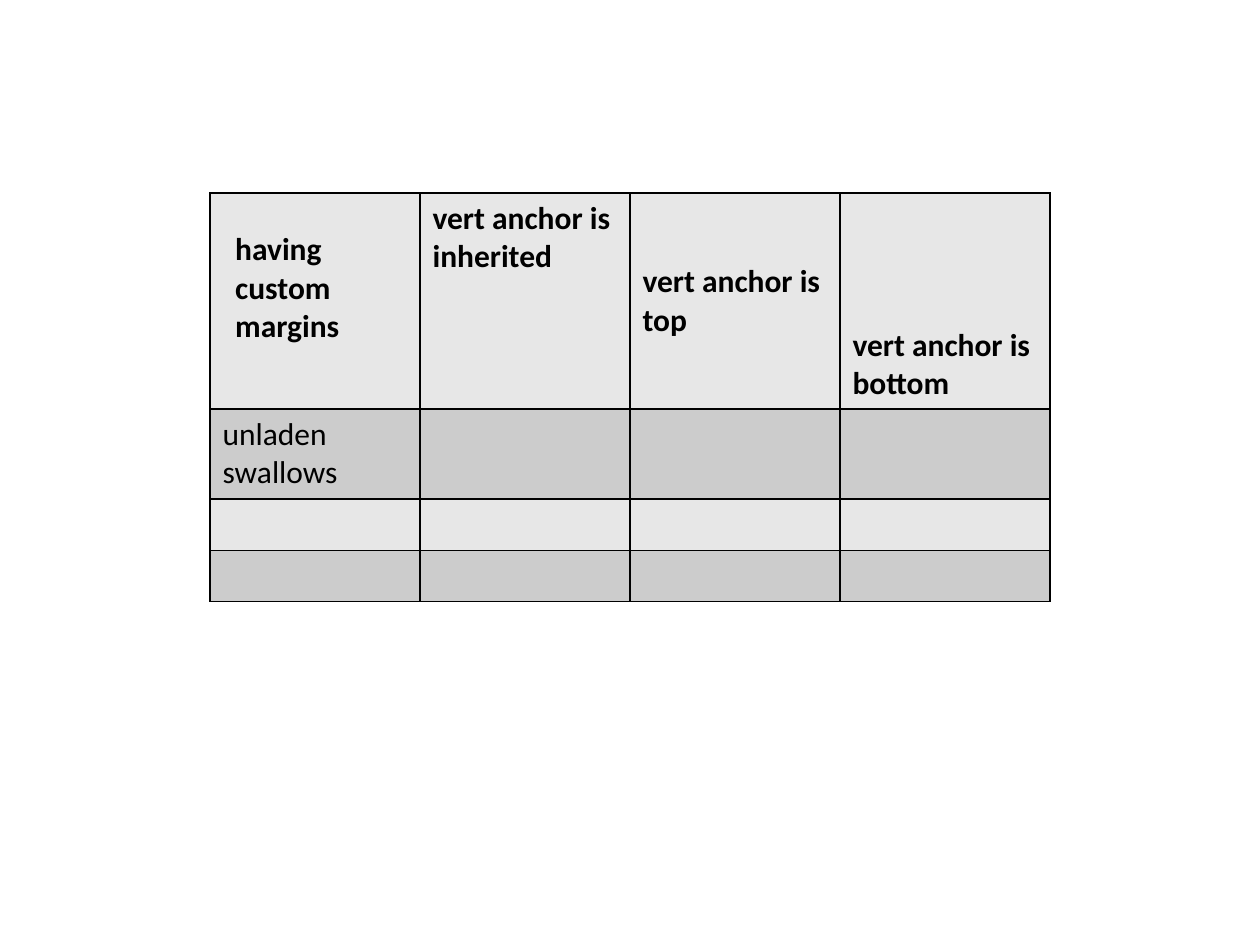
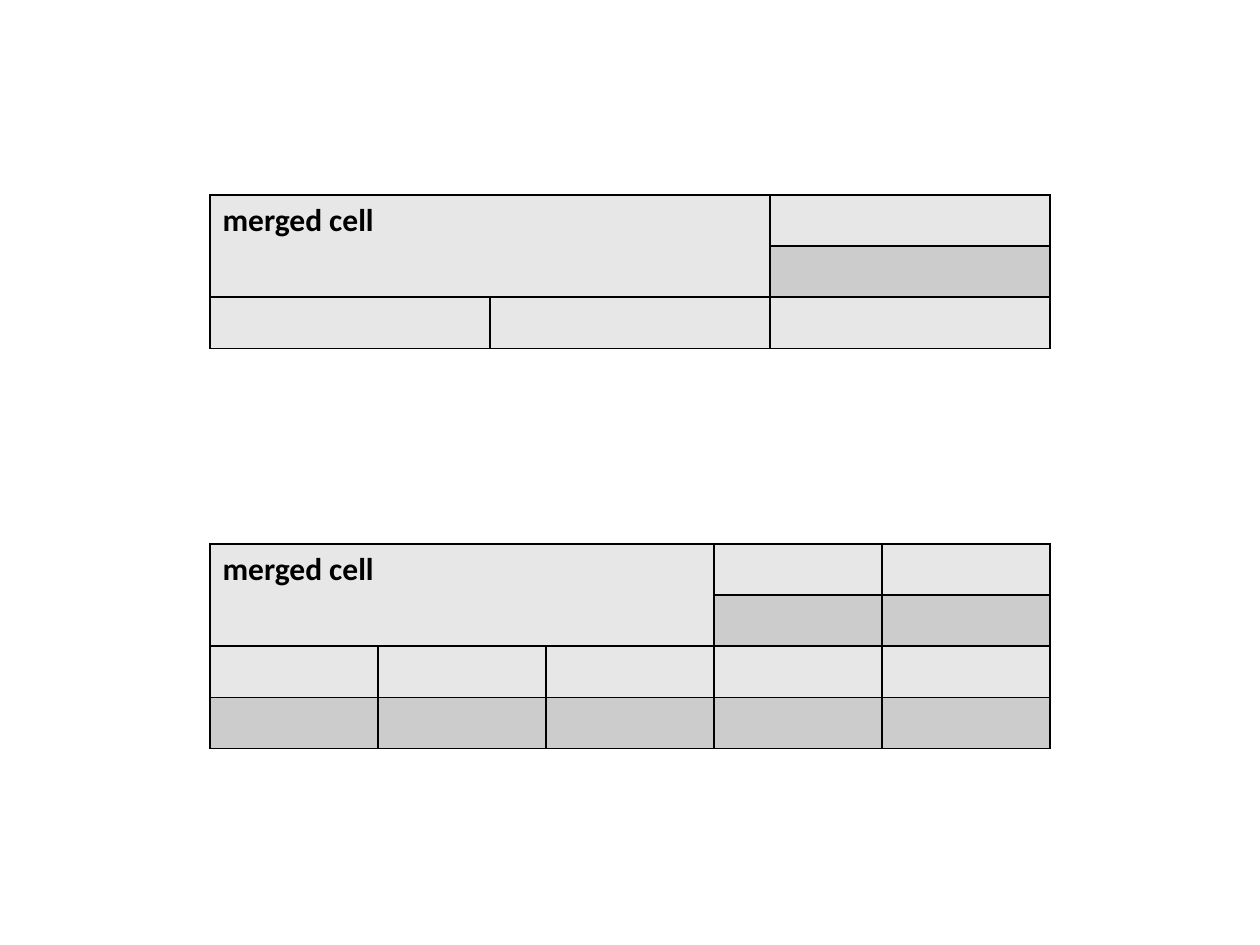
from lxml import etree
from pptx import Presentation
from pptx import util as u
from pptx.dml import color
from pptx.enum import text
from pptx.oxml import ns

PX = 914400 / 126
COLORS = {"light": "E7E7E7", "dark": "CCCCCC", "ink": "000000"}
FONT = "Calibri"
TABLE_LEFT, TABLE_WIDTH, ROW_HEIGHT = 210, 840, 51


def px(length):
    return u.Emu(round(length * PX))


def rgb(name):
    return color.RGBColor.from_string(COLORS[name])


def add_borders(cell):
    properties = cell._tc.get_or_add_tcPr()
    for position, side in enumerate(("lnL", "lnR", "lnT", "lnB")):
        line = etree.Element(ns.qn(f"a:{side}"), w=str(u.Pt(1)))
        fill = etree.SubElement(line, ns.qn("a:solidFill"))
        etree.SubElement(fill, ns.qn("a:srgbClr"), val=COLORS["ink"])
        properties.insert(position, line)


def add_grid(slide, top, columns, row_heights):
    frame = slide.shapes.add_table(
        len(row_heights), columns, px(TABLE_LEFT), px(top),
        px(TABLE_WIDTH), px(sum(row_heights)))
    table = frame.table
    table.first_row = table.horz_banding = False
    for column in table.columns:
        column.width = px(TABLE_WIDTH / columns)
    for index, height in enumerate(row_heights):
        table.rows[index].height = px(height)
        for cell in table.rows[index].cells:
            cell.fill.solid()
            cell.fill.fore_color.rgb = rgb("dark" if index % 2 else "light")
            add_borders(cell)
    return table


def write_cell(cell, wording, bold=True, anchor=None):
    cell.text_frame.text = wording
    cell.vertical_anchor = anchor
    font = cell.text_frame.paragraphs[0].runs[0].font
    font.name, font.size, font.bold = FONT, u.Pt(18), bold
    font.color.rgb = rgb("ink")


def set_margins(cell, left, top, right, bottom):
    cell.margin_left, cell.margin_top = u.Inches(left), u.Inches(top)
    cell.margin_right, cell.margin_bottom = u.Inches(right), u.Inches(bottom)


def add_merged_table(slide, top, columns, rows, merged_columns):
    table = add_grid(slide, top, columns, [ROW_HEIGHT] * rows)
    corner = table.cell(0, 0)
    corner.merge(table.cell(1, merged_columns - 1))
    write_cell(corner, "merged cell")


def add_anchor_slide(presentation):
    slide = presentation.slides.add_slide(presentation.slide_layouts[6])
    table = add_grid(slide, 193, 4, [216, 90, ROW_HEIGHT, ROW_HEIGHT])
    headings = [
        ("having custom margins", None),
        ("vert anchor is inherited", None),
        ("vert anchor is top", text.MSO_ANCHOR.MIDDLE),
        ("vert anchor is bottom", text.MSO_ANCHOR.BOTTOM),
    ]
    for column, (wording, anchor) in enumerate(headings):
        write_cell(table.cell(0, column), wording, anchor=anchor)
    set_margins(table.cell(0, 0), 0.2, 0.3, 0.4, 0.5)
    write_cell(table.cell(1, 0), "unladen swallows", bold=False)


def add_merge_slide(presentation):
    slide = presentation.slides.add_slide(presentation.slide_layouts[6])
    add_merged_table(slide, 195, columns=3, rows=3, merged_columns=2)
    add_merged_table(slide, 544, columns=5, rows=4, merged_columns=3)


def main():
    presentation = Presentation()
    presentation.slide_width = px(1260)
    presentation.slide_height = px(945)
    add_anchor_slide(presentation)
    add_merge_slide(presentation)
    presentation.save("out.pptx")


if __name__ == "__main__":
    main()
